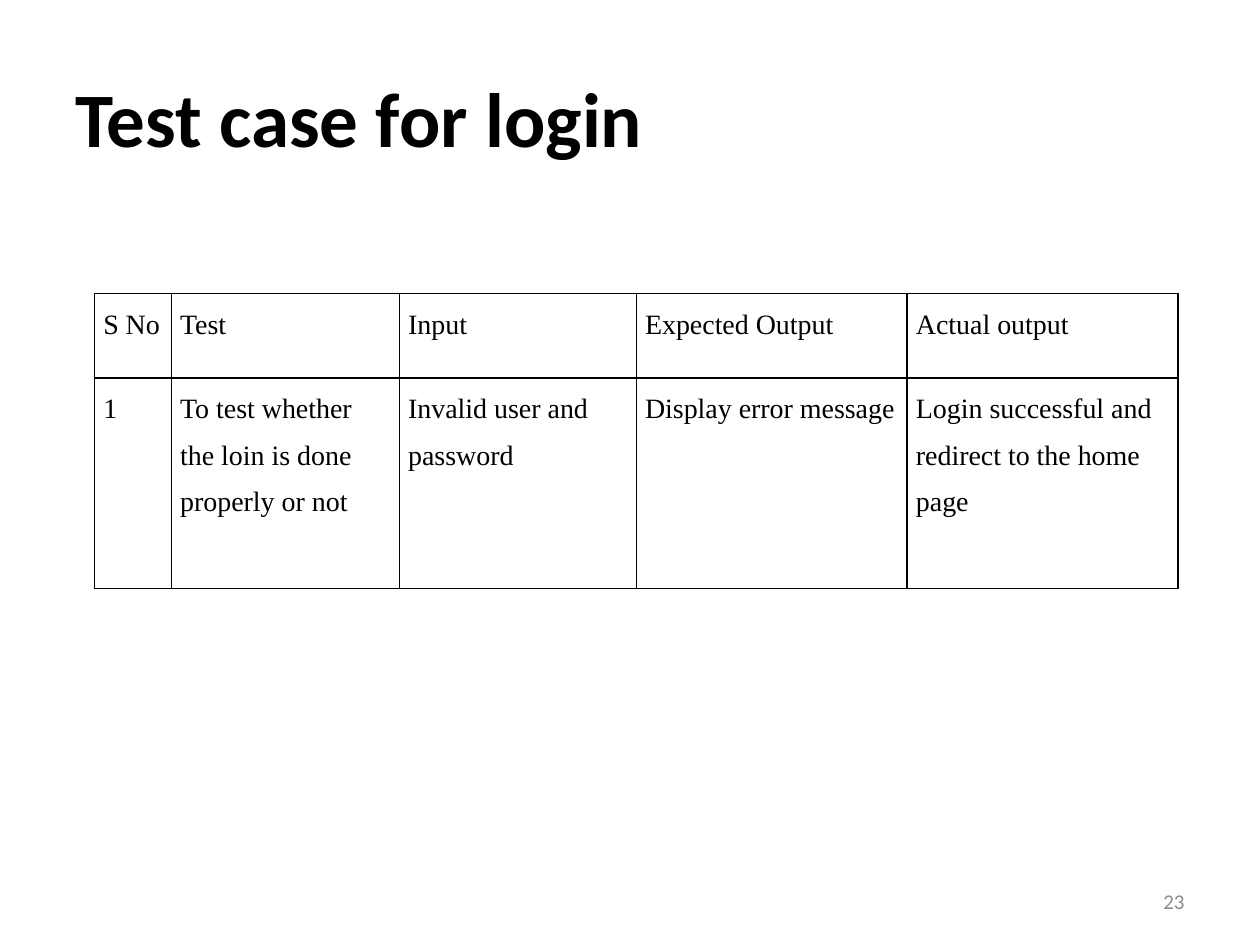
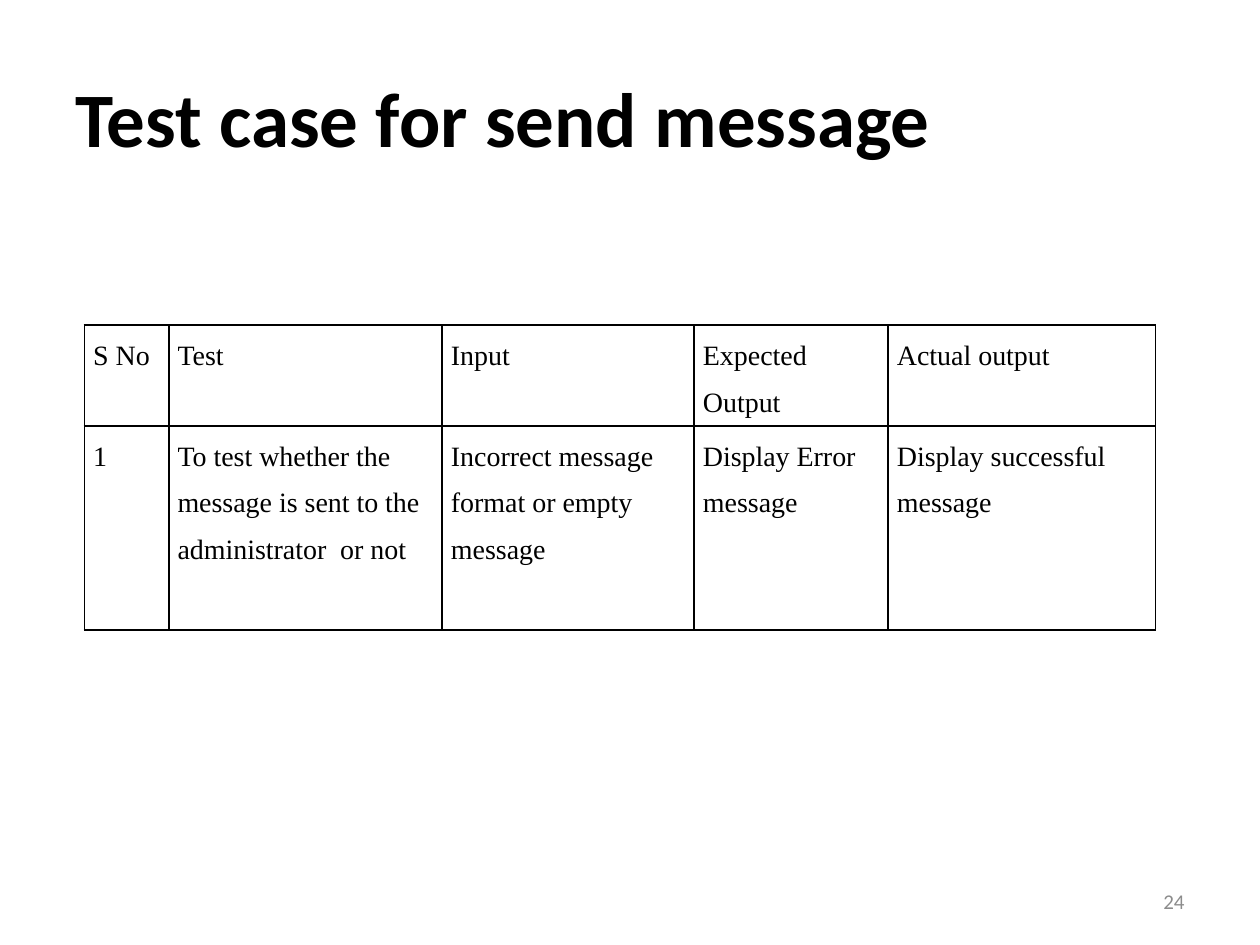
from pptx import Presentation
from pptx.dml.color import RGBColor
from pptx.enum.text import MSO_ANCHOR as Anchor, PP_ALIGN as Align
from pptx.util import Inches, Pt
from lxml.etree import SubElement as Sub
from pptx.oxml.ns import qn

INK, PAPER, GREY = "000000", "FFFFFF", "8C8C8C"
HEAD = ["S No", "Test", "Input", "Expected Output", "Actual output"]
CASES = [
    ("Test case for login", 23, 0.75, 2.33,
     [0.61, 1.81, 1.88, 2.15, 2.15], [0.67, 1.67],
     ["1", "To test whether the loin is done properly or not",
      "Invalid user and password", "Display error message",
      "Login successful and redirect to the home page"]),
    ("Test case for send message", 24, 0.67, 2.58,
     [0.67, 2.17, 2, 1.54, 2.12], [0.75, 1.62],
     ["1", "To test whether the message is sent to the administrator  or not",
      "Incorrect message format or empty message", "Display Error message",
      "Display successful message"]),
]


def paint(text, face, size, tint, bold=False):
    for run in text.paragraphs[0].runs:
        run.font.name = face
        run.font.size = Pt(size)
        run.font.bold = bold
        run.font.color.rgb = RGBColor.from_string(tint)


def label(slide, words, left, top, wide, high):
    box = slide.shapes.add_textbox(*map(Inches, (left, top, wide, high)))
    text = box.text_frame
    text.word_wrap = True
    text.vertical_anchor = Anchor.MIDDLE
    text.text = words
    return text


deck = Presentation()
deck.slide_width, deck.slide_height = Inches(10), Inches(7.5)

for title, page, left, top, cols, rows, entry in CASES:
    slide = deck.slides.add_slide(deck.slide_layouts[6])
    paint(label(slide, title, 0.5, 0.3, 9, 1.25), "Calibri", 44, INK, True)

    frame = slide.shapes.add_table(
        len(rows), len(cols), Inches(left), Inches(top),
        Inches(sum(cols)), Inches(sum(rows)))
    table = frame.table
    for col, wide in zip(table.columns, cols):
        col.width = Inches(wide)
    for row, high, texts in zip(table.rows, rows, [HEAD, entry]):
        row.height = Inches(high)
        for cell, words in zip(row.cells, texts):
            cell.text = words
            cell.margin_left = cell.margin_right = Inches(0.07)
            cell.margin_top = cell.margin_bottom = 0
            cell.text_frame.paragraphs[0].line_spacing = 1.5
            paint(cell.text_frame, "Times New Roman", 16, INK)
            props = cell._tc.get_or_add_tcPr()
            for side in "LRTB":
                line = Sub(props, qn("a:ln" + side), w=str(Pt(1)))
                Sub(Sub(line, qn("a:solidFill")), qn("a:srgbClr"), val=INK)
            cell.fill.solid()
            cell.fill.fore_color.rgb = RGBColor.from_string(PAPER)

    foot = label(slide, str(page), 7.17, 6.95, 2.33, 0.4)
    foot.paragraphs[0].alignment = Align.RIGHT
    paint(foot, "Calibri", 12, GREY)

deck.save("out.pptx")
